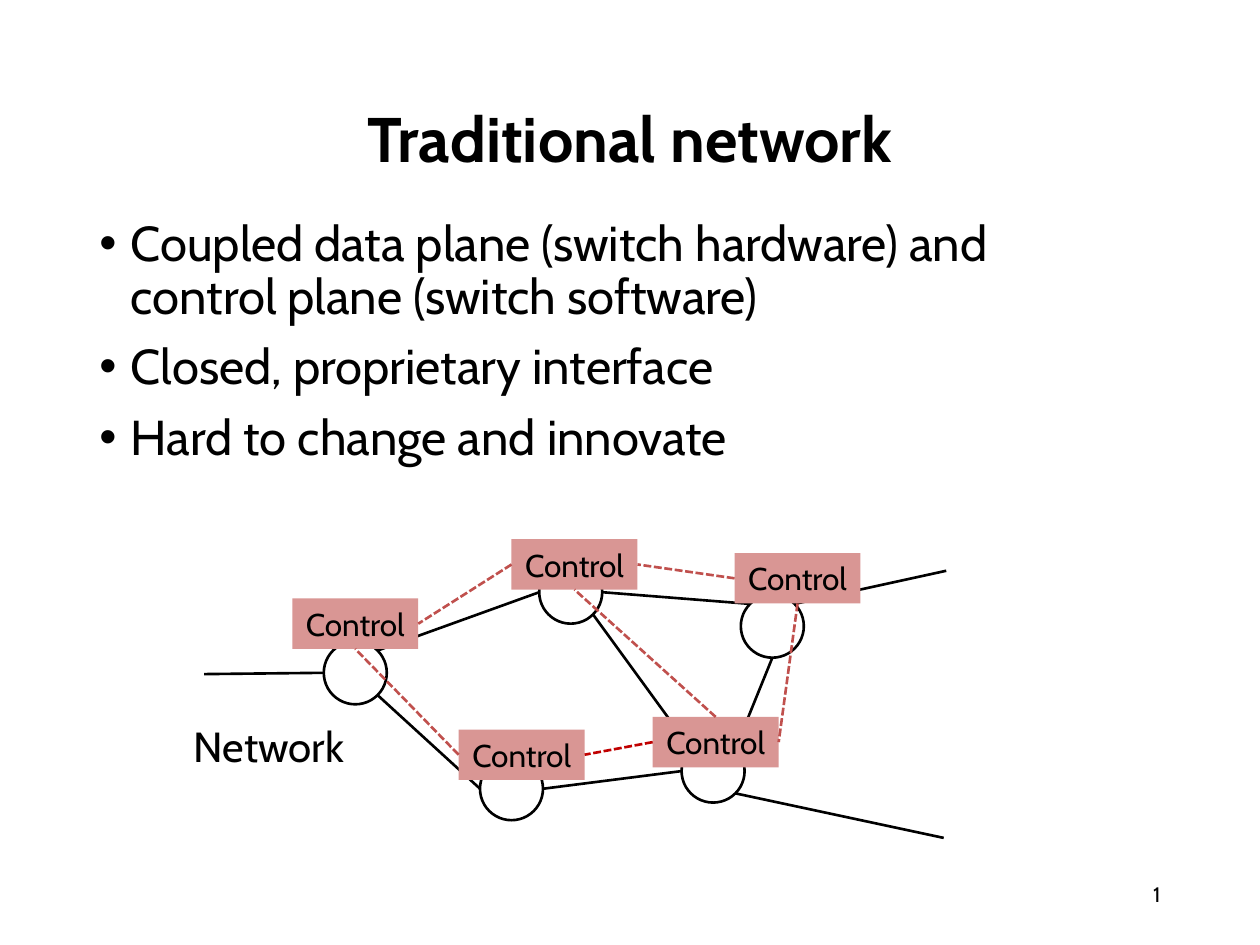
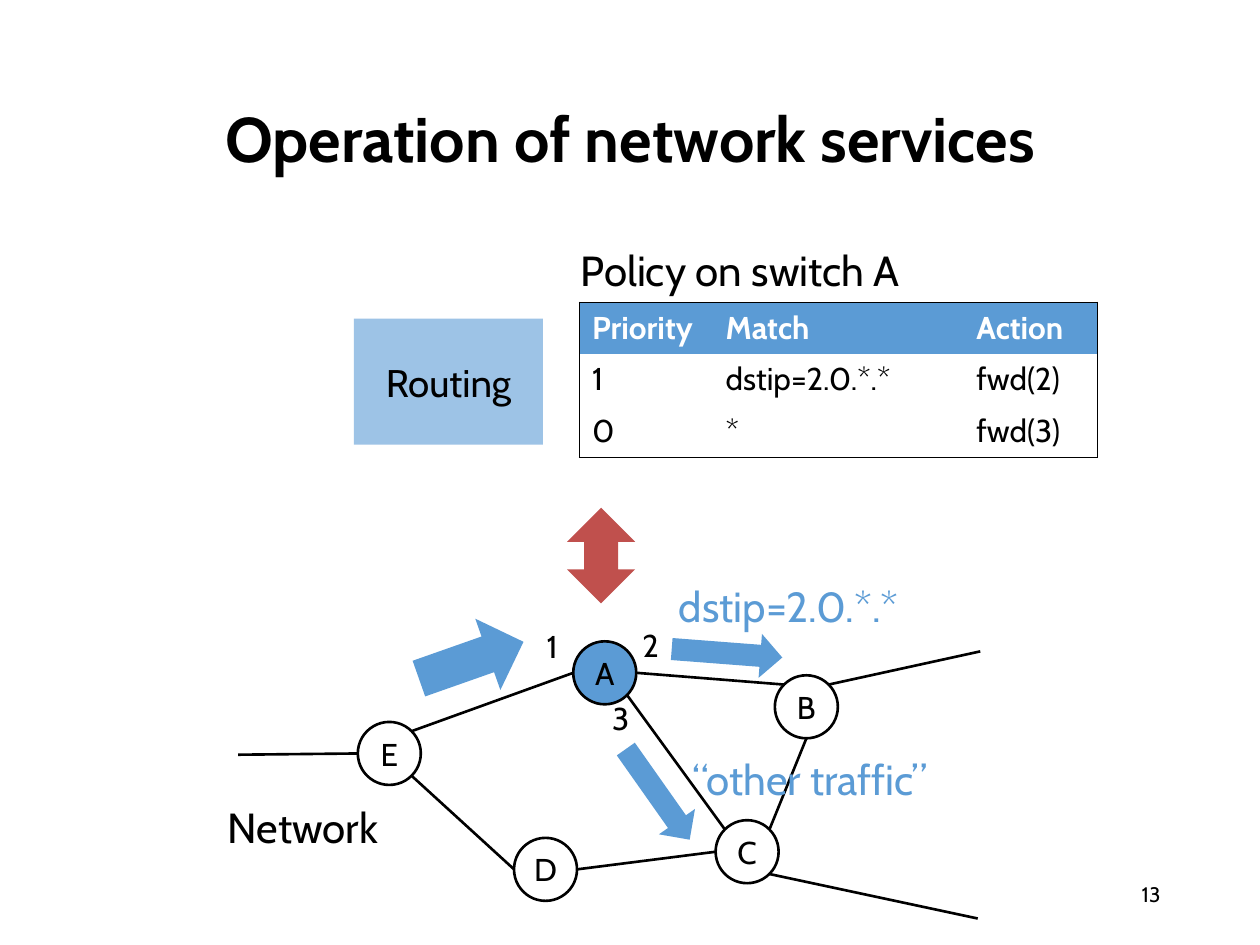
from dataclasses import dataclass
from math import cos, pi, sin

from lxml import etree
from pptx import Presentation
from pptx.dml.color import RGBColor
from pptx.enum.dml import MSO_LINE
from pptx.enum.shapes import MSO_CONNECTOR, MSO_SHAPE
from pptx.enum.text import MSO_ANCHOR, PP_ALIGN
from pptx.oxml.ns import qn
from pptx.util import Inches, Pt

OVAL, RECT = MSO_SHAPE.OVAL, MSO_SHAPE.RECTANGLE
RIGHT_ARROW, DOUBLE_ARROW = MSO_SHAPE.RIGHT_ARROW, MSO_SHAPE.LEFT_RIGHT_ARROW
STRAIGHT, DASH = MSO_CONNECTOR.STRAIGHT, MSO_LINE.SQUARE_DOT
LEFT, CENTER, RIGHT = PP_ALIGN.LEFT, PP_ALIGN.CENTER, PP_ALIGN.RIGHT
TOP, MIDDLE = MSO_ANCHOR.TOP, MSO_ANCHOR.MIDDLE
NO_STYLE_TABLE = "{2D5ABB26-0587-4C30-8999-92F81FD0307C}"


@dataclass(frozen=True)
class Theme:
    font: str = "Cabin"
    black: str = "000000"
    white: str = "FFFFFF"
    blue: str = "5B9BD5"
    light_blue: str = "9DC3E6"
    red: str = "C0504D"
    dark_red: str = "C00000"
    pink: str = "D99694"
    title: int = 36
    body: int = 28
    caption: int = 24
    service: int = 22
    label: int = 18
    footer: int = 12
    line: float = 1.5
    border: float = 1


THEME = Theme()

NODE_SIZE = 0.5
NODES = {"E": (2.57, 5.09), "A": (4.28, 4.45), "D": (3.81, 6.01),
         "B": (5.88, 4.72), "C": (5.41, 5.87)}
# Sites on a node run counter-clockwise from the top in eighths of a turn
N, NW, W, SW, S, SE, E, NE = range(8)
LINKS = [("D", W, "E", SE), ("C", W, "D", E), ("B", S, "C", NE),
         ("A", W, "E", NE), ("B", NW, "A", E), ("A", SE, "C", NW)]
OUTER_LINKS = [("E", W, (1.62, 5.35)), ("B", NE, (7.51, 4.53)),
               ("C", SE, (7.49, 6.65))]

CONTROL_SIZE = (1, 0.4)
CONTROLS = {"E": (2.32, 4.75), "A": (4.06, 4.28), "B": (5.83, 4.39),
            "D": (3.64, 5.79), "C": (5.18, 5.69)}
CONTROL_SIDES = {"top": (0.5, 0), "left": (0, 0.5),
                 "bottom": (0.5, 1), "right": (1, 0.5)}
CONTROL_LINKS = [("A", "left", "E", "right", THEME.red),
                 ("D", "left", "E", "bottom", THEME.red),
                 ("B", "bottom", "C", "right", THEME.red),
                 ("C", "left", "D", "right", THEME.dark_red),
                 ("B", "left", "A", "right", THEME.red),
                 ("C", "top", "A", "bottom", THEME.red)]

POLICY = [("Priority", "Match", "Action"),
          ("1", "dstip=2.0.*.*", "fwd(2)"),
          ("0", "*", "fwd(3)")]
POLICY_WIDTHS = (1.06, 1.99, 1.06)
POLICY_ROW = 0.41


def rgb(color):
    return RGBColor.from_string(color)


def write(p, text, size, color=THEME.black, bold=False):
    r = p.add_run()
    r.text = text
    fmt = {"name": THEME.font, "size": Pt(size), "bold": bold}
    for name, value in fmt.items():
        setattr(r.font, name, value)
    r.font.color.rgb = rgb(color)


def add_text(s, box, text, size, color=THEME.black, align=LEFT,
             anchor=TOP, bold=False):
    tf = s.shapes.add_textbox(*map(Inches, box)).text_frame
    tf.word_wrap = True
    tf.vertical_anchor = anchor
    p = tf.paragraphs[0]
    p.alignment = align
    write(p, text, size, color, bold)
    return p


def add_bullets(s, box, items):
    tf = s.shapes.add_textbox(*map(Inches, box)).text_frame
    tf.word_wrap = True
    for i, item in enumerate(items):
        p = tf.add_paragraph() if i else tf.paragraphs[0]
        pPr = p._p.get_or_add_pPr()
        pPr.set("marL", str(Inches(0.25)))
        pPr.set("indent", str(Inches(-0.25)))
        etree.SubElement(pPr, qn("a:buFont")).set("typeface", "Arial")
        etree.SubElement(pPr, qn("a:buChar")).set("char", "•")
        p.line_spacing = 0.9
        if i:
            p.space_before = Pt(10)
        write(p, item, THEME.body)


def add_block(s, kind, box, fill=None, line=None, text="", size=THEME.label,
              rotation=0):
    sp = s.shapes.add_shape(kind, *map(Inches, box))
    sp.shadow.inherit = False
    sp.rotation = rotation
    if fill:
        sp.fill.solid()
        sp.fill.fore_color.rgb = rgb(fill)
    else:
        sp.fill.background()
    if line:
        sp.line.color.rgb = rgb(line)
        sp.line.width = Pt(THEME.line)
    else:
        sp.line.fill.background()
    if text:
        tf = sp.text_frame
        tf.margin_left = tf.margin_right = 0
        tf.vertical_anchor = MIDDLE
        p = tf.paragraphs[0]
        p.alignment = CENTER
        write(p, text, size)


def add_line(s, start, end, color=THEME.black, dash=None):
    cx = s.shapes.add_connector(STRAIGHT, *map(Inches, (*start, *end)))
    cx.line.color.rgb = rgb(color)
    cx.line.width = Pt(THEME.line)
    if dash:
        cx.line.dash_style = dash
    etree.SubElement(cx._element.spPr, qn("a:effectLst"))


def add_slide(prs, title, number):
    s = prs.slides.add_slide(prs.slide_layouts[6])
    p = add_text(s, (0.69, 0.4, 8.62, 1.45), title, THEME.title,
                 align=CENTER, anchor=MIDDLE, bold=True)
    p.line_spacing = 0.9
    add_text(s, (7.06, 6.95, 2.25, 0.4), number, THEME.footer, align=RIGHT)
    return s


def add_network(s, dx=0, dy=0, labelled=False, active=None):
    """Draw the five switches and their links, moved by dx and dy."""
    def moved(point):
        return point[0] + dx, point[1] + dy

    def site(node, index):
        x, y = moved(NODES[node])
        radius, angle = NODE_SIZE / 2, pi / 2 + index * pi / 4
        return x + radius * (1 + cos(angle)), y + radius * (1 - sin(angle))

    for name, place in NODES.items():
        add_block(s, OVAL, (*moved(place), NODE_SIZE, NODE_SIZE),
                  fill=THEME.blue if name == active else None,
                  line=THEME.black, text=name if labelled else "")
    for a, a_site, b, b_site in LINKS:
        add_line(s, site(a, a_site), site(b, b_site))
    for node, index, end in OUTER_LINKS:
        add_line(s, site(node, index), moved(end))
    add_text(s, (*moved((1.44, 5.67)), 1.42, 0.5), "Network", THEME.caption)


def add_controls(s):
    def side(node, name):
        return [start + share * length for start, share, length
                in zip(CONTROLS[node], CONTROL_SIDES[name], CONTROL_SIZE)]

    for place in CONTROLS.values():
        add_block(s, RECT, (*place, *CONTROL_SIZE), THEME.pink, text="Control")
    for a, a_side, b, b_side, color in CONTROL_LINKS:
        add_line(s, side(a, a_side), side(b, b_side), color, DASH)


def add_border(cell, edge):
    ln = etree.SubElement(cell._tc.get_or_add_tcPr(), qn(f"a:ln{edge}"),
                          w=str(Pt(THEME.border)))
    fill = etree.SubElement(ln, qn("a:solidFill"))
    etree.SubElement(fill, qn("a:srgbClr"), val=THEME.black)


def add_policy_table(s, left, top):
    rows, cols = len(POLICY), len(POLICY_WIDTHS)
    size = (sum(POLICY_WIDTHS), rows * POLICY_ROW)
    table = s.shapes.add_table(rows, cols,
                               *map(Inches, (left, top, *size))).table
    table._tbl.tblPr.find(qn("a:tableStyleId")).text = NO_STYLE_TABLE
    table.horz_banding = False
    for column, width in zip(table.columns, POLICY_WIDTHS):
        column.width = Inches(width)
    for i, values in enumerate(POLICY):
        table.rows[i].height = Inches(POLICY_ROW)
        header = i == 0
        for j, value in enumerate(values):
            cell = table.cell(i, j)
            outer = {"L": j == 0, "R": j == cols - 1,
                     "T": header, "B": i == rows - 1}
            for edge, is_outer in outer.items():
                if is_outer:
                    add_border(cell, edge)
            if header:
                cell.fill.solid()
                cell.fill.fore_color.rgb = rgb(THEME.blue)
            else:
                cell.fill.background()
            write(cell.text_frame.paragraphs[0], value, THEME.label,
                  THEME.white if header else THEME.black, header)


def build_traditional_network(prs):
    s = add_slide(prs, "Traditional network", "1")
    add_network(s)
    add_controls(s)
    add_bullets(s, (0.69, 1.69, 8.26, 4.76), [
        "Coupled data plane (switch hardware) and control plane "
        "(switch software)",
        "Closed, proprietary interface",
        "Hard to change and innovate"])


def build_network_services(prs):
    s = add_slide(prs, "Operation of network services", "13")
    add_network(s, 0.27, 0.64, labelled=True, active="A")
    add_block(s, RECT, (2.81, 2.53, 1.5, 1), THEME.light_blue,
              text="Routing", size=THEME.service)
    for port, place in {"1": (4.24, 4.93), "2": (5, 4.92),
                        "3": (4.76, 5.5)}.items():
        add_text(s, (*place, 0.47, 0.4), port, THEME.label)
    add_policy_table(s, 4.6, 2.4)
    add_text(s, (4.51, 1.89, 3.06, 0.5), "Policy on switch A", THEME.caption)
    for box, rotation in [((3.3, 4.94, 0.88, 0.6), 340.6),
                          ((4.78, 6.13, 0.88, 0.35), 54.8),
                          ((5.33, 5.01, 0.88, 0.35), 4.4)]:
        add_block(s, RIGHT_ARROW, box, THEME.blue, rotation=rotation)
    for box, traffic in [((5.4, 5.93, 2.32, 0.5), "“other traffic”"),
                         ((5.29, 4.56, 2.24, 0.5), "dstip=2.0.*.*")]:
        add_text(s, box, traffic, THEME.caption, THEME.blue)
    add_block(s, DOUBLE_ARROW, (4.39, 4.14, 0.76, 0.54), THEME.red,
              rotation=90)


def main():
    prs = Presentation()
    prs.slide_width, prs.slide_height = Inches(10), Inches(7.5)
    build_traditional_network(prs)
    build_network_services(prs)
    prs.save("out.pptx")


if __name__ == "__main__":
    main()
